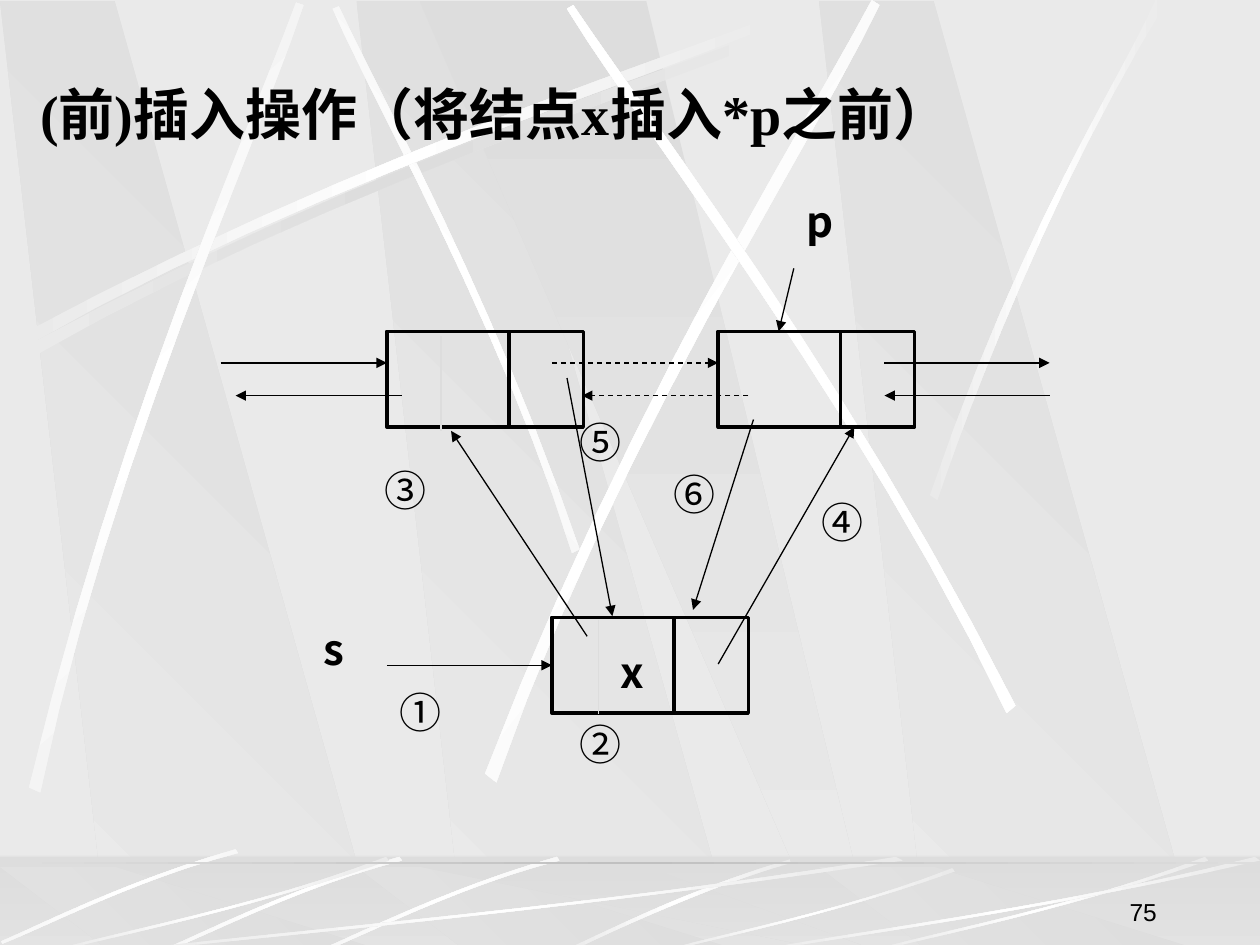
from copy import deepcopy
from lxml.etree import SubElement
from pptx import Presentation
from pptx.dml.color import RGBColor
from pptx.enum.dml import MSO_LINE
from pptx.enum.shapes import MSO_CONNECTOR, MSO_SHAPE
from pptx.enum.text import MSO_ANCHOR, PP_ALIGN
from pptx.oxml.ns import qn
from pptx.util import Inches, Pt

THEME = {
    "paper": "EAEAEA", "shade": "DDDDDD", "light": "FFFFFF", "rule": "C0C0C0", "ink": "000000",
    "title": {"name": "Times New Roman", "size": Pt(32), "bold": True},
    "name": {"name": "Noto Sans CJK JP", "size": Pt(24), "bold": True},
    "step": {"name": "Noto Sans CJK JP", "size": Pt(24), "bold": False},
    "number": {"name": "Arial", "size": Pt(14), "bold": False},
    "east": "Noto Sans CJK JP", "thin": Pt(0.75), "thick": Pt(2),
}
RGB = {key: RGBColor.from_string(THEME[key]) for key in ("paper", "shade", "light", "rule", "ink")}

deck = Presentation()
deck.slide_width, deck.slide_height = Inches(10), Inches(7.5)
COLUMN, ROW = deck.slide_width / 10, deck.slide_height / 7.5
slide = deck.slides.add_slide(deck.slide_layouts[6])
slide.background.fill.solid()
slide.background.fill.fore_color.rgb = RGB["paper"]
shapes = slide.shapes


def paint(shape, colours, angle):
    shape.shadow.inherit = False
    shape.line.fill.background()
    shape.fill.gradient()
    shape.fill.gradient_angle = angle
    stops = shape._element.spPr.find(".//" + qn("a:gsLst"))
    for extra in colours[2:]:
        stops.append(deepcopy(stops[0]))
    for i, (stop, colour) in enumerate(zip(shape.fill.gradient_stops, colours)):
        stop.position = i / (len(colours) - 1)
        stop.color.rgb = RGB[colour]


def outline(points, colours, angle):
    grid = [(round(x * COLUMN), round(y * ROW)) for x, y in points]
    builder = shapes.build_freeform(*grid[0], scale=1.0)
    builder.add_line_segments(grid[1:], close=True)
    paint(builder.convert_to_shape(), colours, angle)


PANEL = [(0.86, 1), (3.02, 1), (0.91, 0), (0, 0)]
WEDGE = [(3.33, 0), (6.58, 1), (6.94, 1), (5.13, 0)]
FADE, GLOW, DIM = ("shade", "paper"), ("paper", "light", "paper"), ("paper", "shade", "paper")
RIBBON = [(0.14, 2.67), (2.78, 1.25), (5.18, 0.51), (6.2, 0.1),
          (6.23, 0.16), (5.22, 0.61), (2.48, 1.43), (0.17, 2.77)]
SWEEP = [(1, 0.04), (0.57, 0.57), (0.17, 0.85), (0.01, 1),
         (0, 0.99), (0.17, 0.81), (0.63, 0.51), (0.99, 0)]
ARC = [(4.42, 6.8), (3.55, 7.05), (2.87, 7.4), (2.56, 7.53),
       (2.57, 7.55), (2.88, 7.43), (3.65, 7.03), (4.44, 6.83)]
wall = [
    ([(x + 0.06, y + 0.08) for x, y in RIBBON], DIM, 0),
    ([(4.6, 4.36), (3.91, 2.34), (3.02, 0.77), (2.69, 0.05),
      (2.64, 0.07), (2.95, 0.79), (3.98, 2.58), (4.54, 4.39)], GLOW, 45),
    (RIBBON, GLOW, 0),
    ([(0.23, 6.25), (0.93, 3.34), (1.97, 1.05), (2.35, 0.02),
      (2.41, 0.04), (2.07, 1.08), (0.86, 3.68), (0.32, 6.29)], GLOW, 311.7),
    ([(3.85, 6.14), (4.98, 3.2), (6.38, 1.02), (6.92, 0),
      (6.98, 0.04), (6.49, 1.08), (4.86, 3.55), (3.94, 6.21)], GLOW, 321.6),
    ([(8.06, 5.6), (6.7, 2.93), (5.16, 0.95), (4.55, 0.04),
      (4.5, 0.07), (5.07, 1.01), (6.85, 3.25), (7.99, 5.66)], GLOW, 34.8),
    ([(7.38, 3.93), (8.14, 1.73), (8.88, 0.66), (9.17, 0),
      (9.27, 0), (8.36, 1.45), (7.69, 3.22), (7.44, 3.97)], GLOW, 0),
]
floor = [([(6.27, 6.82), (5.37, 7.09), (4.77, 7.42), (4.48, 7.54),
           (4.53, 7.55), (4.9, 7.37), (5.71, 7), (6.28, 6.85)], GLOW, 0)]
for shift, lift in ((0, 0), (1.25, 0), (2.55, 0.06)):
    floor.append(([(x - shift, y - lift) for x, y in ARC], GLOW, 315))
for left, width, top, depth in ((1, 6.17, 6.8, 0.75), (0.42, 2.67, 6.8, 0.75), (5.27, 2.31, 6.89, 0.66),
                                (6.92, 2.67, 6.8, 0.75), (6, 4, 6.8, 0.75)):
    floor.append(([(left + x * width, top + y * depth) for x, y in SWEEP], GLOW, 0))

for top, depth, streaks in ((0.01, 7.51, wall), (6.88, 0.66, floor)):
    if streaks is floor:
        ground = shapes.add_shape(MSO_SHAPE.RECTANGLE, 0, round(6.8 * ROW), deck.slide_width, round(0.75 * ROW))
        paint(ground, FADE, 270)
    for left in (2.83, 0, 6.5):
        outline([(left + x, top + y * depth) for x, y in PANEL], FADE, 225)
    outline([(x, top + y * depth) for x, y in WEDGE], FADE, 270)
    if streaks is floor:
        haze = shapes.add_shape(MSO_SHAPE.RECTANGLE, 0, round(6.79 * ROW), deck.slide_width, round(0.75 * ROW))
        haze.shadow.inherit = False
        haze.line.fill.background()
        haze.fill.solid()
        haze.fill.fore_color.rgb = RGB["shade"]
        SubElement(haze._element.spPr.find(".//" + qn("a:srgbClr")), qn("a:alpha"), val="50000")
    for curve, colours, angle in streaks:
        edge = []
        for a, b, c, d in (curve[:4], curve[4:]):
            for t in [i / 12 for i in range(13)]:
                edge.append([(1 - t) ** 3 * a[k] + 3 * t * (1 - t) ** 2 * b[k]
                             + 3 * t * t * (1 - t) * c[k] + t ** 3 * d[k] for k in (0, 1)])
        outline(edge, colours, angle)
horizon = shapes.add_shape(MSO_SHAPE.RECTANGLE, 0, round(6.84 * ROW), deck.slide_width, round(0.02 * ROW))
paint(horizon, ("shade", "rule", "shade"), 0)

NODE_WIDTH, NODE_HEIGHT, DIVIDER = 1.56, 0.76, 0.97
NEXT_ROW, PRIOR_ROW = 2.88, 3.14
links = []
for left, top in ((5.7, 2.63), (3.07, 2.63), (4.38, 4.9)):
    node = shapes.add_shape(MSO_SHAPE.RECTANGLE, round(left * COLUMN), round(top * ROW),
                            round(NODE_WIDTH * COLUMN), round(NODE_HEIGHT * ROW))
    node.shadow.inherit = False
    node.fill.background()
    node.line.color.rgb = RGB["ink"]
    node.line.width = THEME["thick"]
    links.append((left + DIVIDER, top, left + DIVIDER, top + NODE_HEIGHT, "divider"))

links += [
    (7.02, NEXT_ROW, 8.33, NEXT_ROW, "arrow"), (5.7, 5.27, 6.78, 3.39, "arrow"),
    (4.38, NEXT_ROW, 5.7, NEXT_ROW, "dashed"), (3.07, 5.28, 4.38, 5.28, "joined"),
    (4.5, 3, 4.86, 4.89, "arrow"), (1.75, NEXT_ROW, 3.07, NEXT_ROW, "arrow"),
    (6.3, 2.13, 6.18, 2.63, "arrow"), (5.94, PRIOR_ROW, 4.62, PRIOR_ROW, "dashed"),
    (8.33, PRIOR_ROW, 7.02, PRIOR_ROW, "arrow"), (3.19, PRIOR_ROW, 1.87, PRIOR_ROW, "arrow"),
    (5.98, 3.33, 5.5, 4.84, "arrow"), (4.66, 5.05, 3.58, 3.42, "arrow"),
    (3.5, 2.67, 3.5, 3.42, "faint"), (4.75, 4.92, 4.75, 5.67, "faint"),
]
for x1, y1, x2, y2, role in links:
    link = shapes.add_connector(MSO_CONNECTOR.STRAIGHT, round(x1 * COLUMN), round(y1 * ROW),
                                round(x2 * COLUMN), round(y2 * ROW))
    link.line.color.rgb = RGB["shade" if role == "faint" else "ink"]
    link.line.width = THEME["thick" if role == "divider" else "thin"]
    if role == "dashed":
        link.line.dash_style = MSO_LINE.DASH
    if role in ("arrow", "dashed", "joined"):
        SubElement(link.line._get_or_add_ln(), qn("a:tailEnd"), type="triangle")
    if role == "joined":
        link.end_connect(node, 1)
    SubElement(link._element.spPr, qn("a:effectLst"))

for words, left, top, width, height, role in (
    ("①", 3.07, 5.4, 1.2, 0.5, "step"), ("②", 4.5, 5.65, 1.32, 0.5, "step"),
    ("③", 2.95, 3.64, 1.32, 0.5, "step"), ("④", 6.42, 3.89, 0.75, 0.5, "step"),
    ("⑤", 4.5, 3.26, 1.2, 0.5, "step"), ("⑥", 5.25, 3.67, 0.5, 0.5, "step"),
    ("s", 2.47, 4.9, 0.84, 0.5, "name"), ("p", 6.3, 1.5, 0.84, 0.5, "name"),
    ("x", 4.83, 5.08, 0.46, 0.5, "name"),
    ("(前)插入操作（将结点x插入*p之前）", 0.22, 0.58, 8.16, 0.64, "title"),
    ("75", 7.2, 6.9, 2.08, 0.5, "number"),
):
    label = shapes.add_textbox(round(left * COLUMN), round(top * ROW), round(width * COLUMN), round(height * ROW))
    frame = label.text_frame
    frame.word_wrap = role != "title"
    paragraph = frame.paragraphs[0]
    run = paragraph.add_run()
    run.text = words
    for attribute, value in THEME[role].items():
        setattr(run.font, attribute, value)
    run.font.color.rgb = RGB["ink"]
    SubElement(run._r.get_or_add_rPr(), qn("a:ea"), typeface=THEME["east"])
    if role == "number":
        paragraph.alignment = PP_ALIGN.RIGHT
        frame.vertical_anchor = MSO_ANCHOR.BOTTOM

deck.save("out.pptx")
